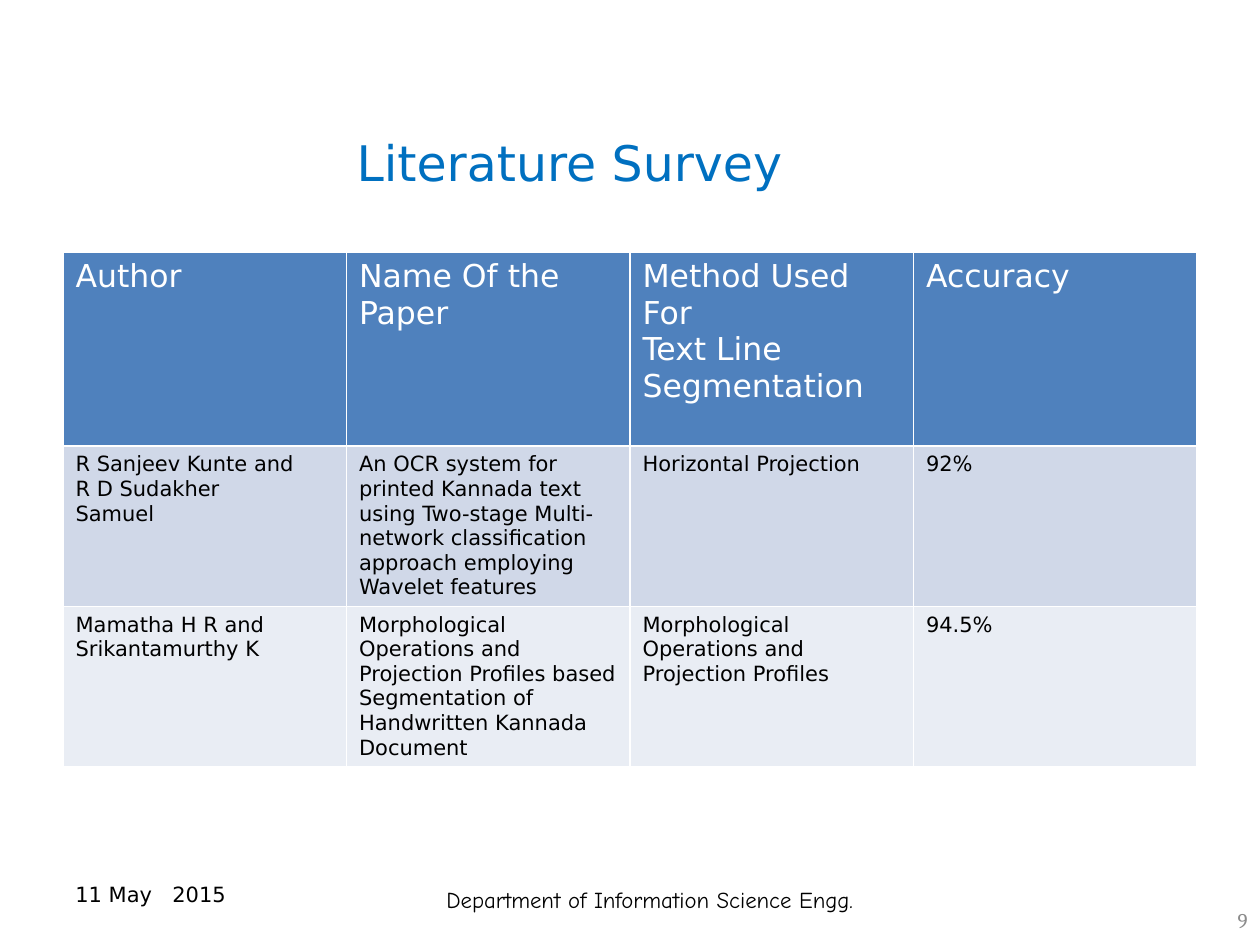
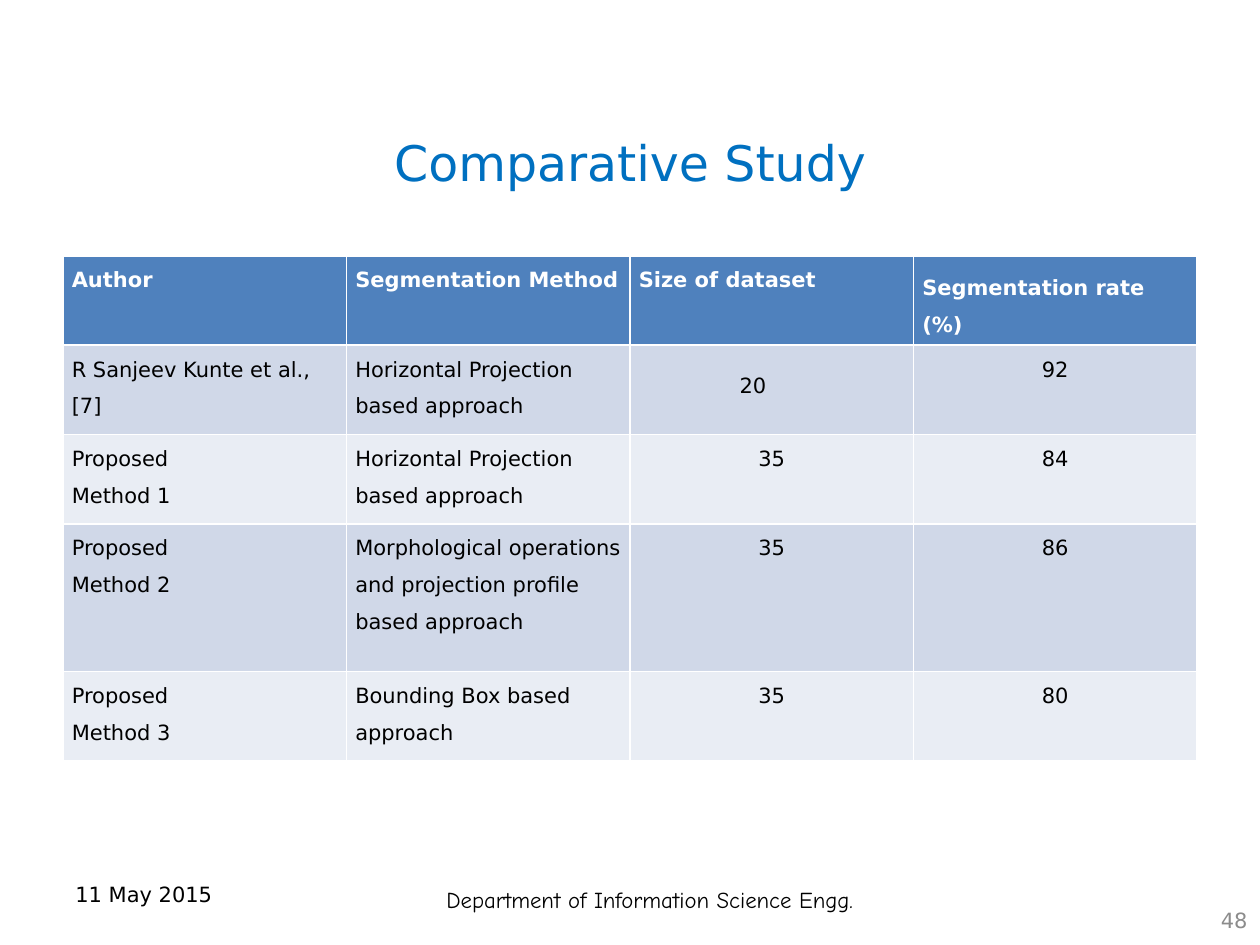
from dataclasses import dataclass

from lxml import etree
from pptx import Presentation
from pptx.dml.color import RGBColor
from pptx.enum import text
from pptx.oxml import ns
from pptx.util import Inches, Pt


@dataclass(frozen=True)
class Theme:
    sans: str = "DejaVu Sans"
    comic: str = "Comic Neue"
    serif: str = "Cambria"
    title: str = "0070C0"
    header: str = "4F81BD"
    bands: tuple = ("D0D8E8", "E9EDF4")
    white: str = "FFFFFF"
    black: str = "000000"
    gray: str = "8C8C8C"
    title_size: int = 28
    head_size: int = 18
    department_size: int = 13
    body_size: int = 12


THEME = Theme()
LEFT, CENTER = text.PP_ALIGN.LEFT, text.PP_ALIGN.CENTER
RIGHT, JUSTIFY = text.PP_ALIGN.RIGHT, text.PP_ALIGN.JUSTIFY
TOP, MIDDLE = text.MSO_ANCHOR.TOP, text.MSO_ANCHOR.MIDDLE


def write(frame, words, font=THEME.sans, size=THEME.body_size, color=THEME.black,
          bold=False, align=LEFT, spacing=1.0, tab=None):
    """Fill a text frame, one paragraph per line of words."""
    frame.word_wrap = True
    for index, line in enumerate(words.split("\n")):
        paragraph = frame.add_paragraph() if index else frame.paragraphs[0]
        paragraph.alignment = align
        paragraph.line_spacing = spacing
        run = paragraph.add_run()
        run.text = line
        run.font.name = font
        run.font.size = Pt(size)
        run.font.bold = bold
        run.font.color.rgb = RGBColor.from_string(color)
        if tab:
            stops = etree.SubElement(paragraph._p.get_or_add_pPr(), ns.qn("a:tabLst"))
            etree.SubElement(stops, ns.qn("a:tab"), pos=str(Inches(tab)), algn="l")


# Content of the two slides
survey = dict(
    title="Literature Survey", title_align=LEFT, title_indent=2.33,
    top=2, heights=[1.54, 1.27, 1.27], margins=(0.1, 0.05), spacing=1.0,
    head_size=THEME.head_size, head_bold=False,
    rows=[
        ["Author", "Name Of the Paper", "Method Used For\nText Line Segmentation", "Accuracy"],
        ["R Sanjeev Kunte and\nR D Sudakher\nSamuel",
         "An OCR system for printed Kannada text using Two-stage Multi-network "
         "classification approach employing Wavelet features",
         "Horizontal Projection", "92%"],
        ["Mamatha H R and Srikantamurthy K",
         "Morphological Operations and Projection Profiles based Segmentation of "
         "Handwritten Kannada Document",
         "Morphological Operations and Projection Profiles", "94.5%"],
    ],
    aligns={}, date="11 May\t2015", date_tab=0.77, number="9", number_font=THEME.serif,
)
comparison = dict(
    title="Comparative Study", title_align=CENTER, title_indent=0.1,
    top=2.03, heights=[0.71, 0.71, 0.71, 1.17, 0.71], margins=(0.07, 0), spacing=1.5,
    head_size=THEME.body_size, head_bold=True,
    rows=[
        ["Author", "Segmentation Method", "Size of dataset", "Segmentation rate (%)"],
        ["R Sanjeev Kunte et al.,[7]", "Horizontal Projection based approach", "20", "92"],
        ["Proposed\nMethod 1", "Horizontal Projection based approach", "35", "84"],
        ["Proposed\nMethod 2",
         "Morphological operations and projection profile based approach", "35", "86"],
        ["Proposed\nMethod 3", "Bounding Box based approach", "35", "80"],
    ],
    aligns={2: CENTER, 3: CENTER}, date="11 May 2015", date_tab=None,
    number="48", number_font=THEME.sans,
)

deck = Presentation()
deck.slide_width, deck.slide_height = Inches(10), Inches(7.5)

for study in (survey, comparison):
    slide = deck.slides.add_slide(deck.slide_layouts[5])

    # Title
    heading = slide.shapes.title
    heading.left, heading.top = Inches(0.5), Inches(1)
    heading.width, heading.height = Inches(9), Inches(1)
    heading.text_frame.vertical_anchor = TOP
    heading.text_frame.margin_left = Inches(study["title_indent"])
    write(heading.text_frame, study["title"], size=THEME.title_size,
          color=THEME.title, align=study["title_align"])

    # Table
    rows, heights = study["rows"], study["heights"]
    grid = slide.shapes.add_table(len(rows), 4, Inches(0.5), Inches(study["top"]),
                                  Inches(9), Inches(sum(heights))).table
    side, edge = (Inches(margin) for margin in study["margins"])
    for r, (entries, height) in enumerate(zip(rows, heights)):
        grid.rows[r].height = Inches(height)
        for c, entry in enumerate(entries):
            cell = grid.cell(r, c)
            cell.margin_left = cell.margin_right = side
            cell.margin_top = cell.margin_bottom = edge
            cell.fill.solid()
            fill = THEME.bands[(r - 1) % 2] if r else THEME.header
            cell.fill.fore_color.rgb = RGBColor.from_string(fill)
            if r:
                write(cell.text_frame, entry, spacing=study["spacing"],
                      align=study["aligns"].get(c, LEFT))
            else:
                write(cell.text_frame, entry, size=study["head_size"], color=THEME.white,
                      bold=study["head_bold"], spacing=study["spacing"],
                      align=JUSTIFY if entry == "Size of dataset" else LEFT)

    # The rate heading is centred vertically, the first dataset size is inset
    if study is comparison:
        grid.cell(0, 3).vertical_anchor = MIDDLE
        first_size = grid.cell(1, 2)
        first_size.margin_left, first_size.margin_top = Inches(0.87), Inches(0.13)
        first_size.text_frame.paragraphs[0].alignment = LEFT

    # Footer: date, department and slide number
    footers = [
        ((0.5, 6.95, 2.33, 0.4), TOP, study["date"], dict(tab=study["date_tab"])),
        ((2.87, 6.98, 4.57, 0.37), TOP, "Department of Information Science Engg.",
         dict(font=THEME.comic, size=THEME.department_size, align=CENTER)),
        ((7.67, 7.1, 2.33, 0.4), MIDDLE, study["number"],
         dict(font=study["number_font"], color=THEME.gray, align=RIGHT)),
    ]
    for place, anchor, words, style in footers:
        footer = slide.shapes.add_textbox(*map(Inches, place)).text_frame
        footer.vertical_anchor = anchor
        write(footer, words, **style)

deck.save("out.pptx")
